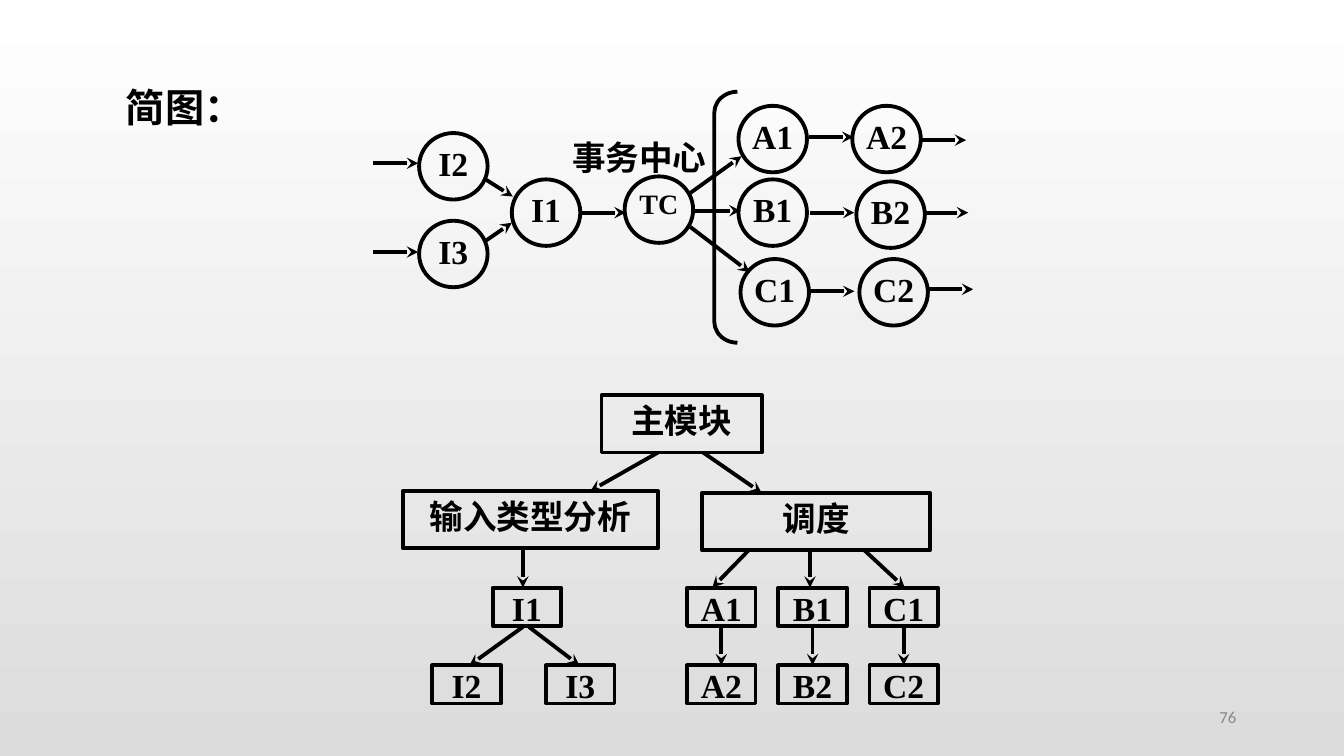
import dataclasses

import lxml.etree
import pptx
import pptx.dml.color
import pptx.enum.shapes
import pptx.enum.text
import pptx.oxml.ns
import pptx.util

SHAPE = pptx.enum.shapes.MSO_SHAPE
ALIGN = pptx.enum.text.PP_ALIGN
ANCHOR = pptx.enum.text.MSO_ANCHOR
FIT = pptx.enum.text.MSO_AUTO_SIZE
SIDES = ("margin_left", "margin_top", "margin_right", "margin_bottom")


@dataclasses.dataclass(frozen=True)
class Theme:
    ink: str = "000000"
    gray: str = "898989"
    sky: str = "FFFFFF"
    base: str = "DCDCDC"
    serif: str = "Times New Roman"
    hans: str = "Noto Sans CJK SC"
    sans: str = "Calibri"
    head: int = 28
    label: int = 24
    small: int = 20
    note: int = 12
    stroke: float = 2.75


def color(code):
    return pptx.dml.color.RGBColor.from_string(code)


def apply(item, values):
    for key, value in values.items():
        setattr(item, key, value)


def add(parent, tag, **values):
    return lxml.etree.SubElement(parent, pptx.oxml.ns.qn(tag), **values)


class Page:
    """One slide on a grid whose columns and rows are a tenth of an inch."""

    COLS, ROWS = 133.4, 75

    def __init__(self, deck, theme):
        self.theme = theme
        self.slide = deck.slides.add_slide(deck.slide_layouts[5])
        self.shapes = self.slide.shapes
        self.col = deck.slide_width / self.COLS
        self.row = deck.slide_height / self.ROWS

    def grid(self, x, y, *size):
        scale = (self.col, self.row) * (1 + len(size) // 2)
        return [round(n * unit) for n, unit in zip((x, y, *size), scale)]

    def shade(self):
        fill = self.slide.background.fill
        fill.gradient()
        fill.gradient_angle = 270
        for stop, code in zip(fill.gradient_stops, (self.theme.sky, self.theme.base)):
            stop.color.rgb = color(code)

    def letter(self, shape, text, frame=None, align=ALIGN.CENTER, ink=None, **font):
        box = shape.text_frame
        apply(box, {"word_wrap": True, "vertical_anchor": ANCHOR.TOP,
                    **dict.fromkeys(SIDES, 0), **(frame or {})})
        para = box.paragraphs[0]
        para.alignment = align
        run = para.add_run()
        run.text = text
        look = {"name": self.theme.serif, "size": self.theme.label, "bold": True, **font}
        look["size"] = pptx.util.Pt(look["size"])
        apply(run.font, look)
        run.font.color.rgb = color(ink or self.theme.ink)
        add(run._r.get_or_add_rPr(), "a:ea", typeface=self.theme.hans)

    def title(self, text, place, **style):
        shape = self.shapes.title
        apply(shape, dict(zip(("left", "top", "width", "height"), self.grid(*place))))
        self.letter(shape, text, **style)

    def label(self, text, place, **style):
        self.letter(self.shapes.add_textbox(*self.grid(*place)), text, **style)

    def ink(self, line):
        line.width = pptx.util.Pt(self.theme.stroke)
        line.color.rgb = color(self.theme.ink)

    def figure(self, kind, place):
        shape = self.shapes.add_shape(kind, *self.grid(*place))
        shape.shadow.inherit = False
        shape.fill.background()
        self.ink(shape.line)
        return shape

    def node(self, text, x, y, **style):
        self.letter(self.figure(SHAPE.OVAL, (x, y, 6.8, 6.6)), text, **style)

    def block(self, text, x, y, wide=6.8, high=3.8, **style):
        self.letter(self.figure(SHAPE.RECTANGLE, (x, y, wide, high)), text, **style)

    def brace(self, place, bend):
        self.figure(SHAPE.LEFT_BRACKET, place).adjustments[0] = bend

    def arrow(self, x, y, across=4.5, down=0):
        link = self.shapes.add_connector(
            pptx.enum.shapes.MSO_CONNECTOR.STRAIGHT,
            *self.grid(x, y, x + across, y + down))
        self.ink(link.line)
        props = link._element.spPr
        add(props.find(pptx.oxml.ns.qn("a:ln")), "a:tailEnd", type="stealth")
        add(props, "a:effectLst")


def draw_flow(page):
    # Input and center nodes
    for name, x, y in (("I2", 41.6, 13.2), ("I3", 41.6, 21.9), ("I1", 50.8, 17.8)):
        page.node(name, x, y)
    page.node("TC", 62, 17.5, size=page.theme.small)
    for y in (16.2, 25):
        page.arrow(37, y)
    page.arrow(48.2, 17.8, 2.7, 1.7)
    page.arrow(48.2, 23.9, 2.6, -1.8)
    page.arrow(57.6, 21.1)

    # Action paths: letter, first node, second node, arrow between, arrow out
    for name, first, second, link, out in (
            ("A", (73.3, 10.5), (84.6, 10.5), (80.3, 13.6), (91.4, 13.9)),
            ("B", (73.3, 17.8), (85, 18), (80.4, 21.1), (91.6, 21.1)),
            ("C", (73.5, 25.7), (85.3, 25.7), (80.4, 28.9), (92.1, 28.7))):
        page.node(name + "1", *first)
        page.node(name + "2", *second)
        page.arrow(*link, 4.4)
        page.arrow(*out)

    # Fan out from the center
    page.arrow(68.3, 19.3, 5.3, -3.8)
    page.arrow(68.9, 20.9, 4.6)
    page.arrow(68.5, 22.5, 5.9, 4.5)
    page.brace((70.9, 9.1, 2.3, 24.9), 0.91)
    page.label("事务中心", (55.7, 13.6, 15.5, 3.8))


def draw_tree(page, pad):
    # Main modules
    for name, x, y, wide in (("主模块", 59.7, 39.2, 15.9), ("调度", 69.7, 48.9, 22.6),
                             ("输入类型分析", 40, 48.7, 25.3)):
        page.block(name, x, y, wide, 5.7, frame=pad)
    page.arrow(65.3, 44.9, -6.7, 3.8)
    page.arrow(69.8, 44.9, 5.8, 4)

    # Input branch
    upper, lower, drop = 58.3, 66, 3.8
    for name, x, y in (("I1", 48.9, upper), ("I2", 42.9, lower), ("I3", 54.2, lower)):
        page.block(name, x, y)
    page.arrow(51.9, 54.5, 0, drop)
    page.arrow(51.9, 62.2, -5.3, drop)
    page.arrow(52.5, 62.2, 5, drop)

    # Action branches
    for i, name in enumerate("ABC"):
        x = 68.2 + 9.05 * i
        page.block(name + "1", x, upper)
        page.block(name + "2", x, lower)
        page.arrow(x + 3.4, 62.2, 0, drop)
    for x, across in ((74.4, -3.7), (80.4, 0), (85.7, 4.1)):
        page.arrow(x, 54.5, across, drop)


def main():
    deck = pptx.Presentation()
    apply(deck, {"slide_width": pptx.util.Inches(13.34),
                 "slide_height": pptx.util.Inches(7.5)})
    theme = Theme()
    page = Page(deck, theme)
    pad = dict(zip(SIDES, map(pptx.util.Inches, (0.1, 0.05) * 2)))

    # Heading and backdrop
    page.shade()
    page.title("简图：", (11.5, 7.8, 13.6, 5.7), align=ALIGN.LEFT, name=theme.hans,
               size=theme.head,
               frame={**pad, "word_wrap": False, "auto_size": FIT.SHAPE_TO_FIT_TEXT})

    # Diagrams
    draw_flow(page)
    draw_tree(page, pad)

    # Page number
    page.label("76", (94.2, 69.4, 29.5, 3.5), align=ALIGN.RIGHT, ink=theme.gray,
               name=theme.sans, size=theme.note, bold=False,
               frame={**pad, "vertical_anchor": ANCHOR.MIDDLE})
    deck.save("out.pptx")


if __name__ == "__main__":
    main()
